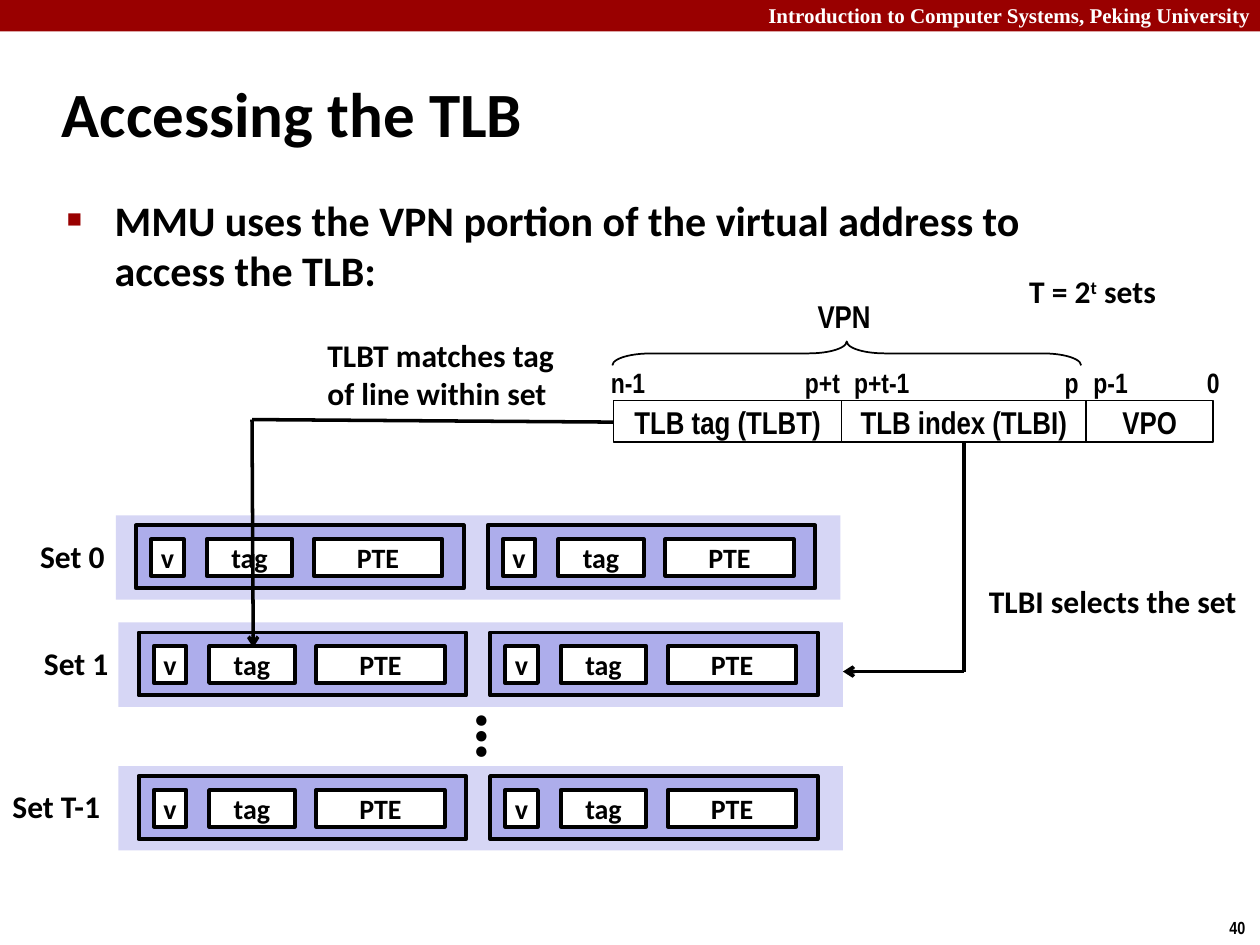
from lxml.etree import SubElement
from pptx import Presentation
from pptx.dml.color import RGBColor
from pptx.enum.shapes import MSO_CONNECTOR as Connector, MSO_SHAPE as Shape
from pptx.enum.text import MSO_ANCHOR as Anchor, PP_ALIGN as Align
from pptx.oxml.ns import qn
from pptx.util import Inches, Pt

BLACK = RGBColor(0x00, 0x00, 0x00)
WHITE = RGBColor(0xFF, 0xFF, 0xFF)
RED = RGBColor(0x99, 0x00, 0x00)
PALE = RGBColor(0xD6, 0xD6, 0xF5)
LILAC = RGBColor(0xAD, 0xAD, 0xEB)
SANS = "Calibri"
NARROW = "Arial Narrow"
SERIF = "Times New Roman"


class SlideBuilder:
    def __init__(self, page):
        self.page = page

    def style(self, para, size, font=SANS, color=BLACK):
        para.font.size = Pt(size)
        para.font.name = font
        para.font.bold = True
        para.font.color.rgb = color

    def place(self, item, left, top, width, height):
        item.left, item.top = Inches(left), Inches(top)
        item.width, item.height = Inches(width), Inches(height)

    def indent(self, para, margin):
        props = para._p.get_or_add_pPr()
        props.set("marL", str(Inches(margin)))
        props.set("indent", str(Inches(-margin)))
        return props

    def title(self, text, *bounds):
        box = self.page.shapes.title
        self.place(box, *bounds)
        box.text_frame.text = text
        box.text_frame.vertical_anchor = Anchor.MIDDLE
        para = box.text_frame.paragraphs[0]
        para.alignment = Align.LEFT
        self.indent(para, 0.13)
        self.style(para, 36)

    def body(self, text, *bounds):
        box = self.page.placeholders[1]
        self.place(box, *bounds)
        box.text_frame.text = text
        para = box.text_frame.paragraphs[0]
        para.space_before = Pt(0)
        props = self.indent(para, 0.38)
        color = SubElement(props, qn("a:buClr"))
        SubElement(color, qn("a:srgbClr"), val=str(RED))
        SubElement(props, qn("a:buSzPct"), val="60000")
        SubElement(props, qn("a:buChar"), char="■")
        self.style(para, 24)

    def text(self, text, left, top, width, height=0.4, size=18, font=SANS,
             color=BLACK, anchor=Anchor.TOP, wrap=False):
        box = self.page.shapes.add_textbox(
            Inches(left), Inches(top), Inches(width), Inches(height))
        frame = box.text_frame
        frame.word_wrap = wrap
        frame.vertical_anchor = anchor
        frame.text = text
        self.style(frame.paragraphs[0], size, font, color)
        return box

    def rect(self, left, top, width, height, fill=None, line=None, text="",
             size=16, font=SANS, kind=Shape.RECTANGLE):
        box = self.page.shapes.add_shape(
            kind, Inches(left), Inches(top), Inches(width), Inches(height))
        box.shadow.inherit = False
        if fill is None:
            box.fill.background()
        else:
            box.fill.solid()
            box.fill.fore_color.rgb = fill
        if line is None:
            box.line.fill.background()
        else:
            box.line.color.rgb = BLACK
            box.line.width = Pt(line)
        if text:
            frame = box.text_frame
            frame.word_wrap = False
            frame.vertical_anchor = Anchor.MIDDLE
            frame.text = text
            para = frame.paragraphs[0]
            para.alignment = Align.CENTER
            self.style(para, size, font)
        return box

    def brace(self, left, top, width, height):
        offset = (width - height) / 2
        shape = self.rect(left + offset, top - offset, height, width,
                          line=1, kind=Shape.LEFT_BRACE)
        shape.rotation = 90
        shape.adjustments[0] = 1.6
        shape.adjustments[1] = 0.5

    def line(self, start, end, arrow=False):
        link = self.page.shapes.add_connector(
            Connector.STRAIGHT, *(Inches(value) for value in start + end))
        link.line.color.rgb = BLACK
        link.line.width = Pt(2)
        if arrow:
            SubElement(link.line._get_or_add_ln(), qn("a:tailEnd"), type="arrow")
        SubElement(link._element.spPr, qn("a:effectLst"))

    def path_arrow(self, start, corner, end):
        self.line(start, corner)
        self.line(corner, end, arrow=True)

    def cache_set(self, label, label_left, label_width, left, top):
        self.rect(left, top, 5.75, 0.67, PALE)
        for entry in (left + 0.16, left + 2.95):
            self.rect(entry, top + 0.08, 2.6, 0.5, LILAC, 2.25)
            for name, offset, width in (("v", 0.12, 0.26), ("tag", 0.56, 0.68),
                                        ("PTE", 1.41, 1.02)):
                self.rect(entry + offset, top + 0.19, width, 0.29,
                          WHITE, 2.25, name)
        self.text(label, label_left, top + 0.12, label_width)


def main():
    deck = Presentation()
    deck.slide_width, deck.slide_height = Inches(10), Inches(7.5)
    page = deck.slides.add_slide(deck.slide_layouts[1])
    slide = SlideBuilder(page)

    slide.rect(0, 0, 10, 0.25, RED)
    slide.text("Introduction to Computer Systems, Peking University",
               6, -0.03, 4.07, 0.3, 12, SERIF, WHITE, wrap=True)
    slide.text("40", 9.66, 7.23, 0.34, 0.27, 10, NARROW)
    slide.title("Accessing the TLB", 0.39, 0.48, 8.3, 0.83)
    slide.body("MMU uses the VPN portion of the virtual address to access the TLB:",
               0.43, 1.49, 8.64, 0.93)

    for name, left, width in (("TLB tag (TLBT)", 4.87, 1.81),
                              ("TLB index (TLBI)", 6.68, 1.94),
                              ("VPO", 8.62, 1.01)):
        slide.rect(left, 3.18, width, 0.33, WHITE, 1, name, 18, NARROW)
    for bit, left, width in (("n-1", 4.75, 0.48), ("p+t", 6.29, 0.48),
                             ("p+t-1", 6.68, 0.65), ("p", 8.35, 0.31),
                             ("p-1", 8.58, 0.48), ("0", 9.48, 0.3)):
        slide.text(bit, left, 2.85, width, 0.37, 16, NARROW, anchor=Anchor.MIDDLE)
    slide.brace(4.86, 2.71, 3.72, 0.19)
    slide.text("VPN", 6.39, 2.31, 0.63, font=NARROW, anchor=Anchor.MIDDLE)

    slide.cache_set("Set 0", 0.22, 0.72, 0.92, 4.09)
    slide.cache_set("Set 1", 0.25, 0.72, 0.94, 4.94)
    slide.cache_set("Set T-1", 0, 0.92, 0.94, 6.08)
    slide.text("…", 3.34, 5.46, 0.6, 0.77, 40).rotation = 270

    count = slide.text("", 8.07, 2.11, 1.25, wrap=True)
    para = count.text_frame.paragraphs[0]
    for part in ("T = 2", "t", " sets"):
        span = para.add_run()
        span.text = part
        if part == "t":
            span._r.get_or_add_rPr().set("baseline", "30000")

    slide.path_arrow((7.65, 3.51), (7.65, 5.33), (6.69, 5.33))
    slide.text("TLBI selects the set", 7.75, 4.57, 2.19)
    slide.path_arrow((4.87, 3.35), (2, 3.33), (2.01, 5.14))
    slide.text("TLBT matches tag of line within set", 2.5, 2.62, 2.25, 0.71, wrap=True)

    deck.save("out.pptx")


if __name__ == "__main__":
    main()
